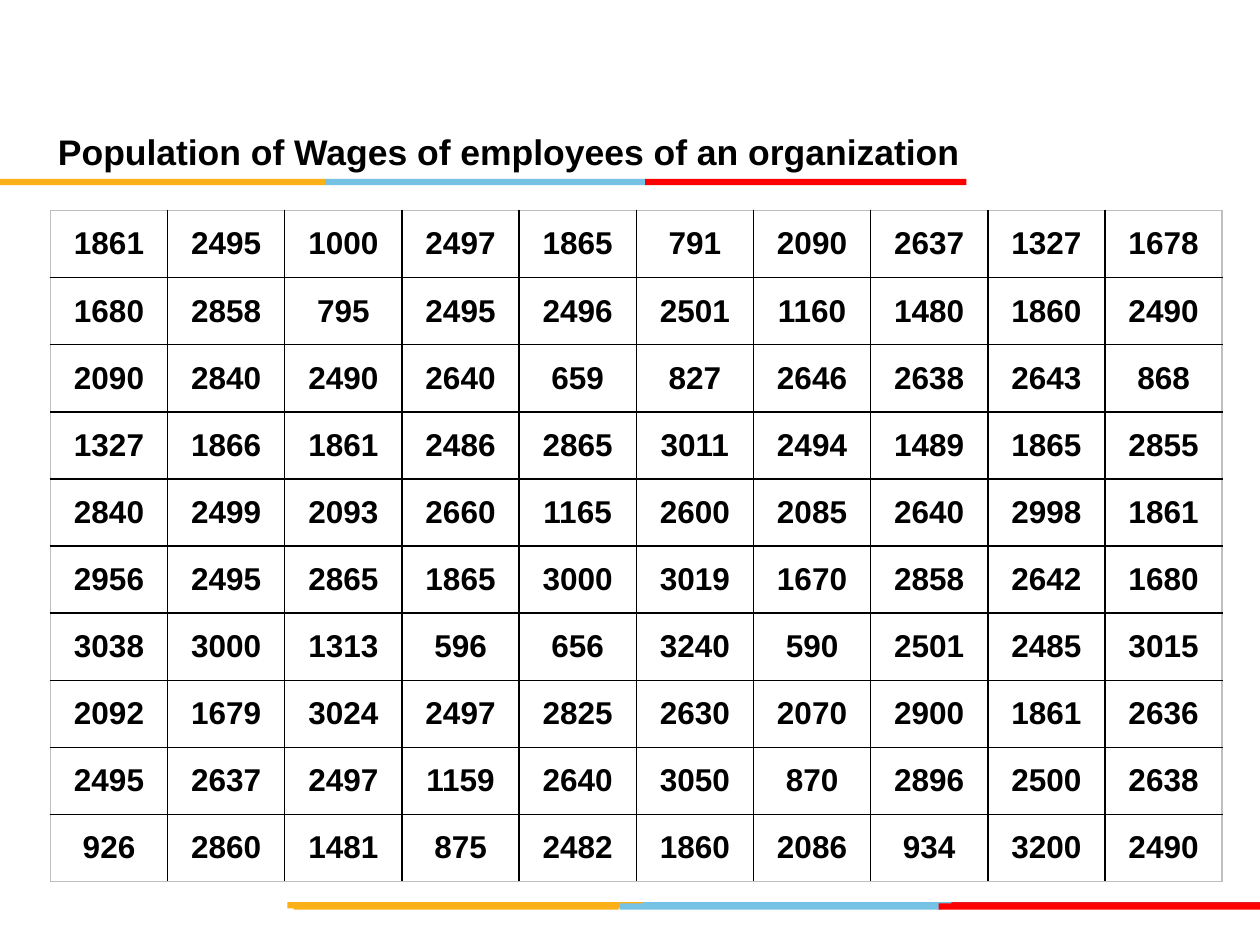
import pptx
import pptx.dml.color
import pptx.enum.shapes
import pptx.enum.text
import pptx.oxml
import pptx.oxml.ns
import pptx.util
from dataclasses import dataclass

Inches, Pt = pptx.util.Inches, pptx.util.Pt
RGB = pptx.dml.color.RGBColor.from_string
ALIGN, ANCHOR = pptx.enum.text.PP_ALIGN, pptx.enum.text.MSO_ANCHOR


@dataclass(frozen=True)
class Theme:
    font: str = "Arial"
    ink: str = "000000"
    frame: str = "BFBFBF"
    gold: str = "FCB017"
    sky: str = "76C2E5"
    crimson: str = "E31C24"
    red: str = "FF0000"
    title_size: float = 20.3
    wage_size: float = 18


theme = Theme()
WAGES = """
1861 2495 1000 2497 1865 791 2090 2637 1327 1678
1680 2858 795 2495 2496 2501 1160 1480 1860 2490
2090 2840 2490 2640 659 827 2646 2638 2643 868
1327 1866 1861 2486 2865 3011 2494 1489 1865 2855
2840 2499 2093 2660 1165 2600 2085 2640 2998 1861
2956 2495 2865 1865 3000 3019 1670 2858 2642 1680
3038 3000 1313 596 656 3240 590 2501 2485 3015
2092 1679 3024 2497 2825 2630 2070 2900 1861 2636
2495 2637 2497 1159 2640 3050 870 2896 2500 2638
926 2860 1481 875 2482 1860 2086 934 3200 2490
"""
wages = [line.split() for line in WAGES.strip().splitlines()]
row_count, column_count = len(wages), len(wages[0])


def write(frame, text, size, align, line_spacing=1.0):
    """Put one bold paragraph in the text frame."""
    frame.text = text
    paragraph = frame.paragraphs[0]
    paragraph.alignment = align
    paragraph.line_spacing = line_spacing
    font = paragraph.runs[0].font
    for name, value in {"name": theme.font, "size": Pt(size), "bold": True}.items():
        setattr(font, name, value)
    font.color.rgb = RGB(theme.ink)


def add_border(cell, side, color):
    """Draw one side (L, R, T or B) of a cell; call in that order."""
    cell._tc.get_or_add_tcPr().append(pptx.oxml.parse_xml(
        f'<a:ln{side} {pptx.oxml.ns.nsdecls("a")} w="{Pt(1)}">'
        f'<a:solidFill><a:srgbClr val="{color}"/></a:solidFill></a:ln{side}>'))


deck = pptx.Presentation()
deck.slide_width, deck.slide_height = Inches(10), Inches(7.5)
slide = deck.slides.add_slide(deck.slide_layouts[5])

# Colour stripes: left, top, width, colour
stripes = [
    (5.06, 7.16, 2.55, theme.sky),
    (7.55, 7.16, 2.45, theme.crimson),
    (2.28, 7.16, 2.82, theme.gold),
    (4.92, 7.17, 2.55, theme.sky),
    (2.33, 7.17, 2.58, theme.gold),
    (7.45, 7.17, 2.55, theme.red),
    (2.58, 1.42, 2.55, theme.sky),
    (0, 1.42, 2.58, theme.gold),
    (5.12, 1.42, 2.55, theme.red),
]
for left, top, width, color in stripes:
    stripe = slide.shapes.add_shape(
        pptx.enum.shapes.MSO_SHAPE.RECTANGLE,
        Inches(left), Inches(top), Inches(width), Inches(0.05))
    stripe.shadow.inherit = False
    stripe.fill.solid()
    stripe.fill.fore_color.rgb = RGB(color)
    stripe.line.fill.background()

# Wage table
wage_table = slide.shapes.add_table(
    row_count, column_count,
    Inches(0.4), Inches(1.67), Inches(9.3), Inches(5.33)).table
wage_table.first_row = wage_table.horz_banding = False
cell_format = {
    "vertical_anchor": ANCHOR.MIDDLE,
    "margin_left": Inches(0.1), "margin_right": Inches(0.1),
    "margin_top": Inches(0.04), "margin_bottom": Inches(0.04),
}
for row, line in enumerate(wages):
    for column, wage in enumerate(line):
        cell = wage_table.cell(row, column)
        for name, value in cell_format.items():
            setattr(cell, name, value)
        write(cell.text_frame, wage, theme.wage_size, ALIGN.CENTER)
        on_edge = {"L": column == 0, "R": column == column_count - 1,
                   "T": row == 0, "B": row == row_count - 1}
        for side, outer in on_edge.items():
            add_border(cell, side, theme.frame if outer else theme.ink)
        cell.fill.background()

# Title
title = slide.shapes.title
title_box = {"left": 0.4, "top": 1.01, "width": 9, "height": 0.43}
for name, value in title_box.items():
    setattr(title, name, Inches(value))
title_format = {
    "word_wrap": True,
    "auto_size": pptx.enum.text.MSO_AUTO_SIZE.NONE,
    "vertical_anchor": ANCHOR.MIDDLE,
    "margin_left": Inches(0.06), "margin_right": Inches(0.06),
    "margin_top": Inches(0.03), "margin_bottom": Inches(0.03),
}
for name, value in title_format.items():
    setattr(title.text_frame, name, value)
write(title.text_frame, "Population of Wages of employees of an organization",
      theme.title_size, ALIGN.LEFT, 0.9)

deck.save("out.pptx")
